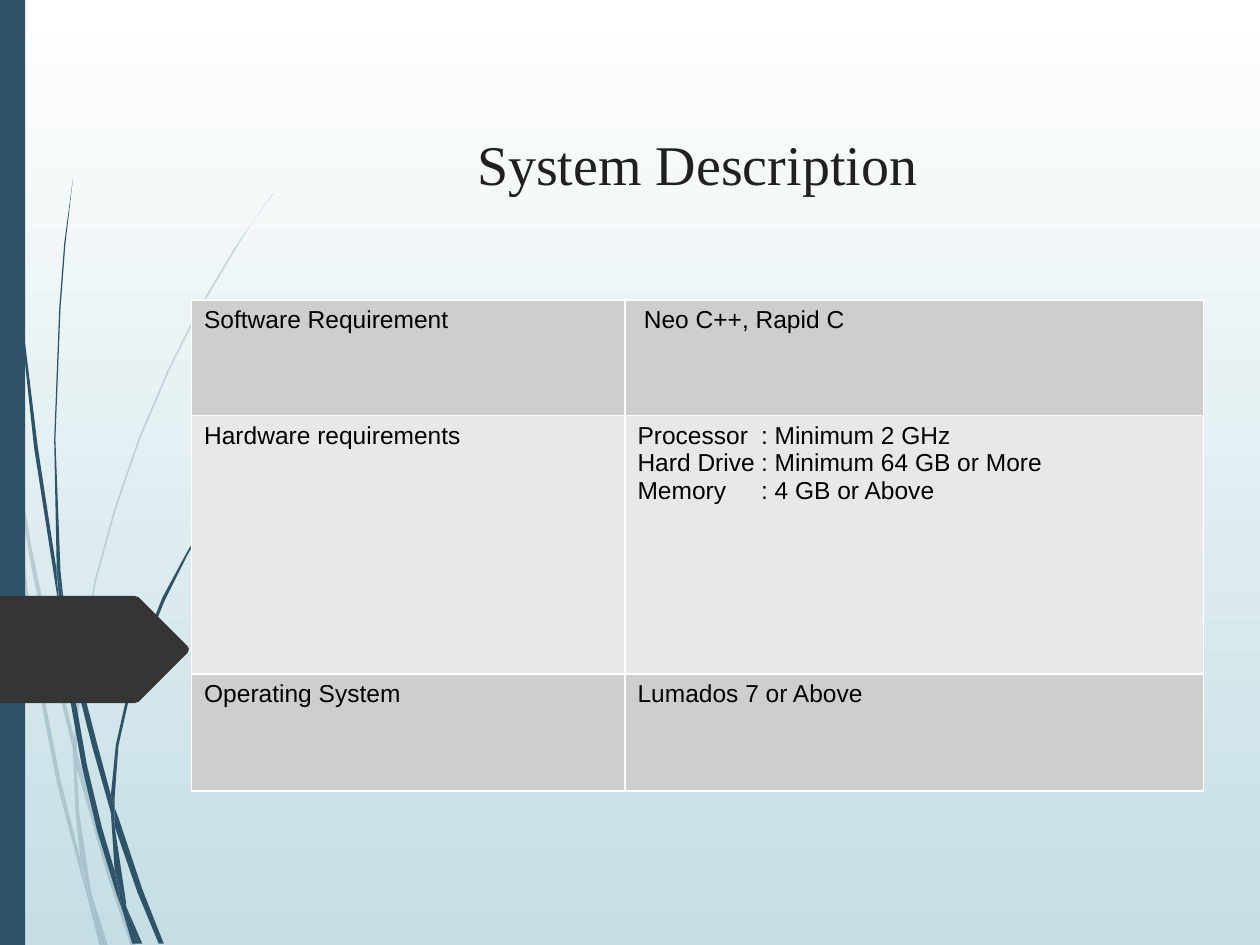
from lxml import etree
from pptx import Presentation
from pptx import util as u
from pptx.dml import color
from pptx.enum import shapes, text
from pptx.oxml import ns

COLORS = {
    "sky": "FFFFFF", "horizon": "C5DEE5", "stem": "2E5369", "pointer": "353535",
    "title": "202020", "body": "000000", "dark_row": "CECECE",
    "light_row": "E8E8E8", "border": "FFFFFF",
}

PALE_GRASS = [
    [(0.08, 3.5), (0.06, 3.22), (0, 2.82), (0, 2.99), (0.07, 3.44)],
    [(0.4, 5.22), (0.59, 5.99), (0.59, 5.86), (0.43, 5.2), (0.25, 4.34),
     (0.1, 3.45), (0.12, 3.76), (0.25, 4.51)],
    [(0.64, 6.07), (0.61, 5.96), (0.61, 6.1), (0.85, 6.94), (1.04, 7.51),
     (1.08, 7.51), (0.88, 6.92)],
    [(0.83, 7.51), (0.86, 7.51), (0.73, 7.11)],
    [(0.64, 6.83), (0.48, 6.19), (0.34, 5.47), (0.22, 4.69), (0.12, 3.76),
     (0.08, 3.5), (0.19, 4.7), (0.31, 5.48), (0.45, 6.21), (0.64, 6.93),
     (0.7, 7.14), (0.69, 7.07)],
    [(0.58, 5.99), (0.6, 6.46), (0.64, 6.83), (0.67, 6.92), (0.73, 7.11),
     (0.72, 7.06), (0.63, 6.46), (0.61, 6.1), (0.61, 6.08)],
    [(0.61, 5.84), (0.66, 5.22), (0.76, 4.62), (0.92, 4.04), (1.11, 3.49),
     (1.34, 2.95), (1.59, 2.45), (1.87, 1.98), (2.01, 1.75), (2.17, 1.54),
     (2.17, 1.53), (2.01, 1.75), (1.86, 1.97), (1.58, 2.44), (1.33, 2.94),
     (1.1, 3.48), (0.91, 4.03), (0.75, 4.61), (0.64, 5.22), (0.59, 5.84),
     (0.59, 5.86), (0.61, 5.96)],
    [(0.7, 7.14), (0.79, 7.51), (0.82, 7.51)],
    [(0.61, 6.08), (0.61, 6.1), (0.61, 5.96), (0.59, 5.86), (0.58, 5.99)],
    [(0.67, 6.92), (0.65, 6.83), (0.69, 7.07), (0.7, 7.14), (0.82, 7.51),
     (0.83, 7.51), (0.73, 7.11)],
]
DARK_GRASS = [
    [(0.05, 1.1), (0.14, 2.33), (0.27, 3.55), (0.46, 4.77), (0.47, 4.81),
     (0.45, 4.57), (0.45, 4.53), (0.3, 3.55), (0.15, 2.32), (0.06, 1.09),
     (0.04, 0.48), (0.03, 0), (0.02, 0), (0.03, 0.48)],
    [(0.73, 5.92), (0.88, 6.45), (0.88, 6.33), (0.88, 6.31), (0.77, 5.9),
     (0.62, 5.32), (0.5, 4.72), (0.53, 5.05), (0.62, 5.48)],
    [(0.94, 6.49), (0.91, 6.41), (0.91, 6.56), (1.09, 7.08), (1.26, 7.49),
     (1.3, 7.49), (1.13, 7.06)],
    [(0.91, 6.91), (0.81, 6.57), (0.69, 6.07), (0.6, 5.56), (0.53, 5.05),
     (0.47, 4.77), (0.56, 5.57), (0.65, 6.08), (0.77, 6.59), (0.92, 7.08),
     (0.97, 7.22), (0.96, 7.17)],
    [(0.5, 4.72), (0.48, 4.53), (0.44, 3.49), (0.48, 2.45), (0.52, 1.93),
     (0.58, 1.41), (0.51, 1.93), (0.47, 2.45), (0.43, 3.49), (0.45, 4.49),
     (0.49, 4.72)],
    [(1.1, 7.49), (1.13, 7.49), (1, 7.19)],
    [(0.47, 4.77), (0.53, 5.05), (0.5, 4.72), (0.49, 4.72), (0.45, 4.49),
     (0.45, 4.53)],
    [(0.91, 6.33), (0.94, 5.92), (1.03, 5.52), (1.16, 5.13), (1.31, 4.76),
     (1.49, 4.4), (1.69, 4.06), (1.91, 3.74), (2.03, 3.59), (2.16, 3.44),
     (2.15, 3.44), (2.03, 3.58), (1.91, 3.73), (1.68, 4.05), (1.48, 4.39),
     (1.29, 4.74), (1.14, 5.12), (1.01, 5.51), (0.92, 5.91), (0.88, 6.31),
     (0.91, 6.41)],
    [(0.97, 7.22), (1.05, 7.49), (1.08, 7.49)],
    [(0.88, 6.45), (0.91, 6.91), (0.96, 7.06), (1, 7.19), (1, 7.16),
     (0.91, 6.56), (0.9, 6.51)],
    [(0.88, 6.45), (0.9, 6.51), (0.91, 6.56), (0.91, 6.41), (0.88, 6.31),
     (0.88, 6.33)],
    [(0.96, 7.06), (0.91, 6.91), (0.96, 7.17), (0.97, 7.22), (1.08, 7.49),
     (1.1, 7.49), (1, 7.19)],
]
POINTER = [(-0.03, 4.73), (1.07, 4.73), (1.1, 4.74), (1.49, 5.13), (1.5, 5.15),
           (1.49, 5.18), (1.1, 5.57), (1.07, 5.58), (-0.03, 5.58)]
REQUIREMENTS = [
    ("Software Requirement", "Neo C++, Rapid C"),
    ("Hardware requirements",
     "Processor\t: Minimum 2 GHz\nHard Drive\t: Minimum 64 GB or More\n"
     "Memory\t: 4 GB or Above"),
    ("Operating System", "Lumados 7 or Above"),
]


def rgb(name):
    """Return the named colour."""
    return color.RGBColor.from_string(COLORS[name])


class Deck:
    """Holds the style and the current slide."""

    heading_font, body_font = "Times New Roman", "Arial"

    def __init__(self):
        self.presentation = Presentation()
        self.presentation.slide_width = u.Inches(10)
        self.presentation.slide_height = u.Inches(7.5)
        self.slide = self.presentation.slides.add_slide(
            self.presentation.slide_layouts[5])

    def background(self, top, bottom):
        fill = self.slide.background.fill
        fill.gradient()
        fill.gradient_angle = 270
        for stop, name, position in zip(fill.gradient_stops, (top, bottom), (0, 1)):
            stop.color.rgb = rgb(name)
            stop.position = position

    def paint(self, shape, name, opacity=100):
        shape.shadow.inherit = False
        shape.fill.solid()
        shape.fill.fore_color.rgb = rgb(name)
        shape.line.fill.background()
        if opacity < 100:
            tint = shape.fill._xPr.find(".//" + ns.qn("a:srgbClr"))
            etree.SubElement(tint, ns.qn("a:alpha"), val=str(opacity * 1000))

    def outline(self, points, name, opacity=100):
        start, *rest = [(u.Inches(x), u.Inches(y)) for x, y in points]
        builder = self.slide.shapes.build_freeform(*start)
        builder.add_line_segments(rest, close=True)
        self.paint(builder.convert_to_shape(), name, opacity)

    def bar(self, left, top, width, height, name):
        box = map(u.Inches, (left, top, width, height))
        self.paint(self.slide.shapes.add_shape(
            shapes.MSO_SHAPE.RECTANGLE, *box), name)

    def title(self, wording, left, top, width, height):
        title = self.slide.shapes.title
        title.left, title.top = u.Inches(left), u.Inches(top)
        title.width, title.height = u.Inches(width), u.Inches(height)
        frame = title.text_frame
        frame.text = wording
        frame.auto_size = text.MSO_AUTO_SIZE.NONE
        frame.vertical_anchor = text.MSO_ANCHOR.BOTTOM
        heading = frame.paragraphs[0]
        heading.alignment = text.PP_ALIGN.CENTER
        self.font(heading, self.heading_font, 32, "title")

    def font(self, paragraph, face, size, name):
        paragraph.font.name = face
        paragraph.font.size = u.Pt(size)
        paragraph.font.color.rgb = rgb(name)

    def cell(self, cell, wording, fill):
        cell.text = wording
        for paragraph in cell.text_frame.paragraphs:
            if "\t" in wording:
                stops = etree.SubElement(
                    paragraph._p.get_or_add_pPr(), ns.qn("a:tabLst"))
                etree.SubElement(stops, ns.qn("a:tab"),
                                 pos=str(u.Inches(0.98)), algn="l")
            self.font(paragraph, self.body_font, 14, "body")
        properties = cell._tc.get_or_add_tcPr()
        for side in ("lnL", "lnR", "lnT", "lnB"):
            line = etree.SubElement(properties, ns.qn("a:" + side),
                                    w=str(u.Pt(1)))
            paint = etree.SubElement(line, ns.qn("a:solidFill"))
            etree.SubElement(paint, ns.qn("a:srgbClr"), val=COLORS["border"])
        cell.fill.solid()
        cell.fill.fore_color.rgb = rgb(fill)

    def table(self, rows, left, top, widths, heights):
        box = map(u.Inches, (left, top, sum(widths), sum(heights)))
        table = self.slide.shapes.add_table(len(rows), len(widths), *box).table
        table.first_row = table.horz_banding = False
        for column, width in zip(table.columns, widths):
            column.width = u.Inches(width)
        for index, (row, height) in enumerate(zip(rows, heights)):
            table.rows[index].height = u.Inches(height)
            for cell, wording in zip(table.rows[index].cells, row):
                self.cell(cell, wording, ("dark_row", "light_row")[index % 2])
        return table


def main():
    """Build the slide and save it."""
    deck = Deck()
    deck.background("sky", "horizon")
    for grass, opacity in ((PALE_GRASS, 20), (DARK_GRASS, 100)):
        for blade in grass:
            deck.outline(blade, "stem", opacity)
    deck.bar(0, 0, 0.2, 7.5, "stem")
    deck.outline(POINTER, "pointer")
    deck.title("System Description", 3.13, 0.84, 4.81, 0.77)
    requirements = deck.table(
        REQUIREMENTS, 1.52, 2.38, (3.44, 4.59), (0.92, 2.05, 0.93))
    requirements.cell(0, 1).margin_left = u.Inches(0.15)
    deck.presentation.save("out.pptx")


if __name__ == "__main__":
    main()
